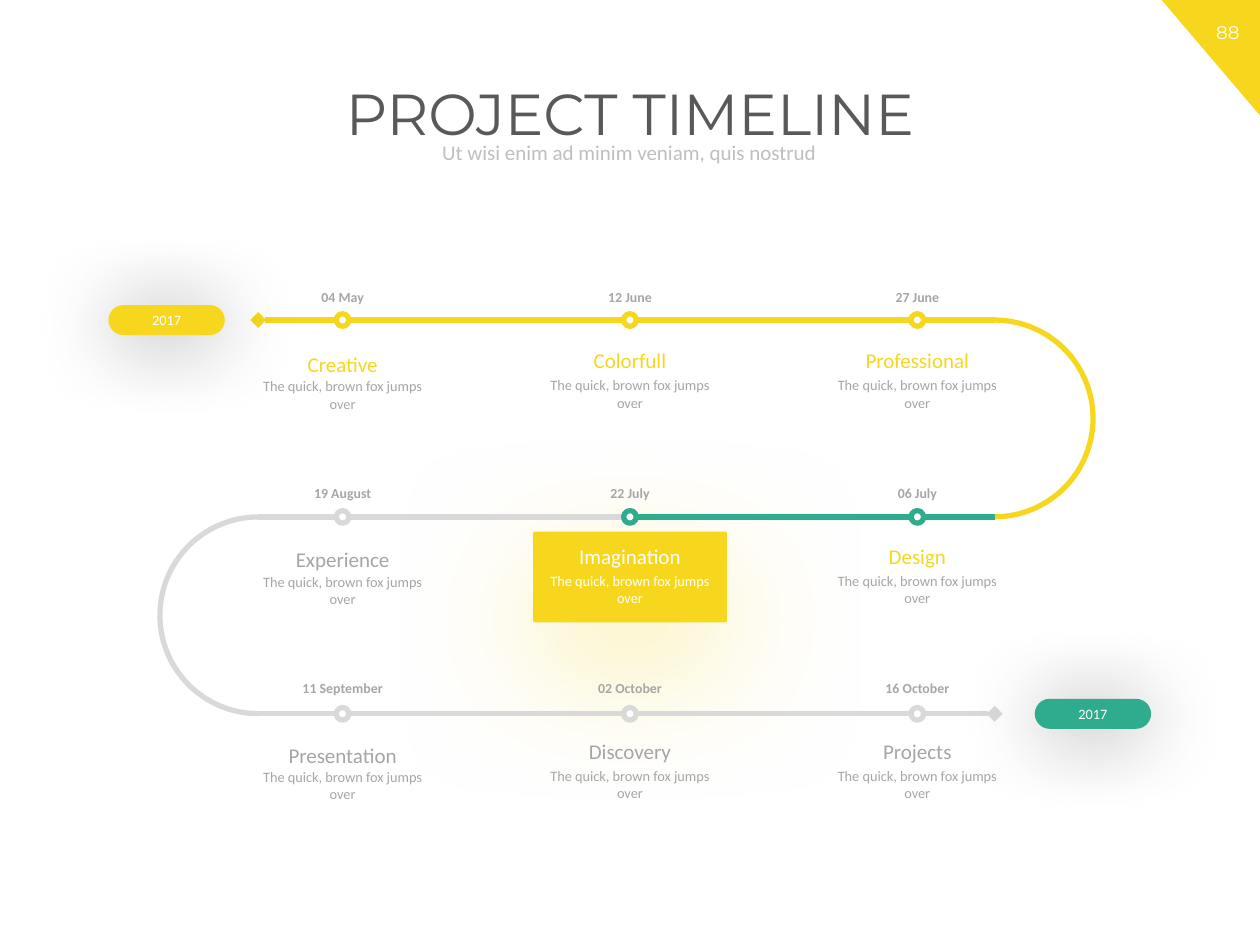
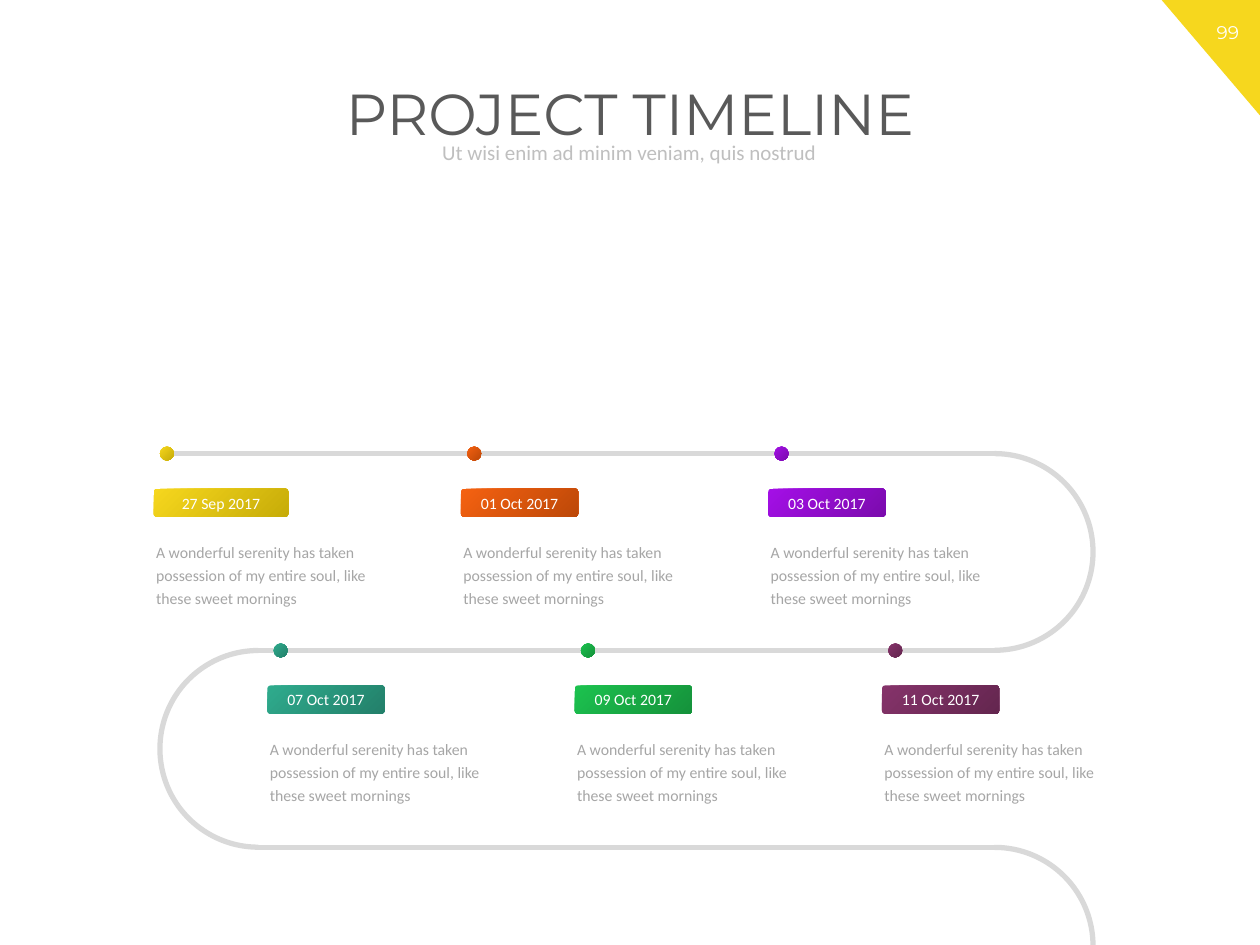
from lxml.etree import SubElement
from pptx import Presentation
from pptx.dml.color import RGBColor
from pptx.enum.shapes import MSO_CONNECTOR as Connector, MSO_SHAPE as Shape
from pptx.enum.text import MSO_ANCHOR as Anchor, PP_ALIGN as Align
from pptx.oxml.ns import qn
from pptx.util import Pt

YELLOW, GREEN, WHITE = "F6D71E", "2FAB8D", "FFFFFF"
TRACK, MUTED, DARK, PALE = "D9D9D9", "A6A6A6", "595959", "BFBFBF"
FADE = (YELLOW, GREEN)
BODY_FONT, TITLE_FONT = "Calibri", "Montserrat"

STROKE = 3
BEND = 112.4
ROW_STEP = 112.5
TRACK_LEFT, TRACK_RIGHT = 147.6, 568.4
RIGHT_BEND, LEFT_BEND, QUARTER_BEND = (162, 54), (54, 162), (162, 0)

MILESTONE_BLURB = "The quick, brown fox jumps over"
MILESTONES = [
    [("04 May", "Creative", YELLOW, FADE),
     ("12 June", "Colorfull", YELLOW, FADE),
     ("27 June", "Professional", YELLOW, FADE)],
    [("19 August", "Experience", TRACK, MUTED),
     ("22 July", "Imagination", GREEN, WHITE),
     ("06 July", "Design", GREEN, FADE)],
    [("11 September", "Presentation", TRACK, MUTED),
     ("02 October", "Discovery", TRACK, MUTED),
     ("16 October", "Projects", TRACK, MUTED)],
]

EVENT_BLURB = ("A wonderful serenity has taken possession of my entire soul, "
               "like these sweet mornings")
EVENTS = [
    [("27 Sep 2017", (YELLOW, "C7AC08"), 77),
     ("01 Oct 2017", ("F56211", "BD4808"), 67),
     ("03 Oct 2017", ("A40FE7", "7B0BAD"), 67)],
    [("07 Oct 2017", (GREEN, "23806A"), 67),
     ("09 Oct 2017", ("1CC24F", "15923B"), 67),
     ("11 Oct 2017", ("85336A", "64264F"), 67)],
]


def paint(fill, color, angle=0):
    """Fill with one hex colour, or with a gradient for a pair of them."""
    if isinstance(color, str):
        fill.solid()
        fill.fore_color.rgb = RGBColor.from_string(color)
        return
    fill.gradient()
    fill.gradient_angle = angle
    for stop, stop_color in zip(fill.gradient_stops, color):
        stop.color.rgb = RGBColor.from_string(stop_color)


def write(frame, text, size, color, font=BODY_FONT, bold=False,
          align=Align.CENTER, spacing=1.0):
    """Put one styled paragraph into a text frame."""
    frame.word_wrap = True
    paragraph = frame.paragraphs[0]
    paragraph.alignment = align
    paragraph.line_spacing = spacing
    run = paragraph.add_run()
    run.text = text
    run.font.name = font
    run.font.size = Pt(size)
    run.font.bold = bold
    paint(run.font.fill, color)


def add_text(slide, box, text, size, color, anchor=Anchor.TOP, **style):
    """Add a text box at (left, top, width, height)."""
    frame = slide.shapes.add_textbox(*map(Pt, box)).text_frame
    frame.vertical_anchor = anchor
    write(frame, text, size, color, **style)


def add_shape(slide, kind, box, fill=None, line=None, adjust=(), angle=0):
    """Add a flat preset shape with an optional fill and outline."""
    shape = slide.shapes.add_shape(kind, *map(Pt, box))
    shape.shadow.inherit = False
    for index, value in enumerate(adjust):
        shape.adjustments[index] = value
    if fill:
        paint(shape.fill, fill, angle)
    else:
        shape.fill.background()
    if line:
        paint(shape.line.fill, line)
        shape.line.width = Pt(STROKE)
    else:
        shape.line.fill.background()
    return shape


def add_glow(shape, color, opacity, blur, distance):
    """Cast a soft shadow downwards from a shape."""
    effects = shape._element.spPr.find(qn("a:effectLst"))
    shadow = SubElement(effects, qn("a:outerShdw"), blurRad=str(Pt(blur)),
                        dist=str(Pt(distance)), dir="5400000", algn="ctr",
                        rotWithShape="0")
    tint = SubElement(shadow, qn("a:srgbClr"), val=color)
    SubElement(tint, qn("a:alpha"), val=str(opacity * 1000))


def add_track(slide, left, right, y, color, diamond_end=None):
    """Draw a straight stretch of the timeline, with a diamond if asked."""
    connector = slide.shapes.add_connector(
        Connector.STRAIGHT, Pt(left), Pt(y), Pt(right), Pt(y))
    paint(connector.line.fill, color)
    connector.line.width = Pt(STROKE)
    if diamond_end:
        SubElement(connector.line._get_or_add_ln(), qn(diamond_end),
                   type="diamond")
    SubElement(connector._element.spPr, qn("a:effectLst"))


def add_bend(slide, center_x, top, color, angles):
    """Draw a curved stretch of the timeline."""
    add_shape(slide, Shape.ARC, (center_x - BEND / 2, top, BEND, BEND),
              line=color, adjust=angles)


def add_dot(slide, x, y, size, fill, line=None, angle=0):
    """Centre a round marker on a point."""
    box = (x - size / 2, y - size / 2, size, size)
    add_shape(slide, Shape.OVAL, box, fill, line, angle=angle)


def add_label(slide, box, text, size, fill, radius, angle=0):
    """Add a rounded label with centred white text."""
    label = add_shape(slide, Shape.ROUNDED_RECTANGLE, box, fill,
                      adjust=[radius], angle=angle)
    frame = label.text_frame
    frame.margin_left = frame.margin_right = 0
    frame.margin_top = frame.margin_bottom = 0
    frame.vertical_anchor = Anchor.MIDDLE
    write(frame, text, size, WHITE)
    return label


def add_year(slide, left, center_y, color):
    """Add a year pill with a dark glow."""
    pill = add_label(slide, (left, center_y - 8.6, 66.5, 17.2), "2017", 8.2,
                     color, 0.5)
    add_glow(pill, "000000", 40, 46, 3)


def add_milestone(slide, row, column, date, heading, ring, color):
    """Add a ring on the track with its date, heading and blurb."""
    center = 360 + (column - 1) * 164.2
    left, width = center - 53, 106
    top = 159.8 + row * 111.6
    heading_drop, blurb_drop = (34.8, 52.4) if column == 0 else (32.6, 51.8)
    blurb_color = WHITE if color == WHITE else MUTED
    add_dot(slide, center, 182.9 + row * ROW_STEP, 7.2, WHITE, ring)
    add_text(slide, (left, top, width, 18.7), date, 7.9, MUTED,
             bold=True, spacing=1.2)
    add_text(slide, (left, top + heading_drop, width, 24.5), heading, 12,
             color, spacing=1.2)
    add_text(slide, (left, top + blurb_drop, width, 27.4), MILESTONE_BLURB,
             8.2, blurb_color)


def add_event(slide, x, y, date, colors, tag_width):
    """Add a dot on the track with its date tag and blurb."""
    add_dot(slide, x, y, 8, colors, angle=315)
    add_text(slide, (x - 13.3, y + 45.4, 149, 46.8), EVENT_BLURB, 9, MUTED,
             align=Align.LEFT, spacing=1.2)
    add_label(slide, (x - 7.6, y + 20, tag_width, 16.2), date, 9, colors,
              0.12, angle=315)


def start_slide(presentation, number):
    """Add a slide with the numbered corner, title and subtitle."""
    slide = presentation.slides.add_slide(presentation.slide_layouts[6])
    corner = add_shape(slide, Shape.RIGHT_TRIANGLE, (663.8, 0, 56.2, 66),
                       YELLOW)
    corner.rotation = 180
    add_text(slide, (683.3, 8.6, 36.7, 20.2), number, 10.5, WHITE,
             font=TITLE_FONT)
    add_text(slide, (41, 45.4, 638, 52.6), "PROJECT TIMELINE", 33, DARK,
             font=TITLE_FONT, spacing=0.9)
    add_text(slide, (100, 76.8, 519.2, 22),
             "Ut wisi enim ad minim veniam, quis nostrud", 12, PALE,
             anchor=Anchor.MIDDLE, spacing=0.9)
    return slide


def build_milestones(presentation):
    """Build the slide with nine milestones on a winding track."""
    slide = start_slide(presentation, "88")
    first, second, third = (182.9 + row * ROW_STEP for row in range(3))
    highlight = add_shape(slide, Shape.ROUNDED_RECTANGLE,
                          (304.6, 303.8, 110.8, 51.8), YELLOW, adjust=[0.02])
    add_glow(highlight, "FAE778", 61, 79, 24)
    add_bend(slide, TRACK_RIGHT, first, YELLOW, RIGHT_BEND)
    add_track(slide, TRACK_LEFT, TRACK_RIGHT, second, TRACK)
    add_bend(slide, TRACK_LEFT, second, TRACK, LEFT_BEND)
    add_track(slide, TRACK_LEFT, TRACK_RIGHT, third, TRACK, "a:tailEnd")
    add_track(slide, TRACK_LEFT, TRACK_RIGHT, first, YELLOW, "a:headEnd")
    add_track(slide, 360, TRACK_RIGHT, second, GREEN)
    add_year(slide, 591.3, third, GREEN)
    add_year(slide, 62, first, YELLOW)
    for row, milestones in enumerate(MILESTONES):
        for column, milestone in enumerate(milestones):
            add_milestone(slide, row, column, *milestone)


def build_events(presentation):
    """Build the slide with six dated events on a winding track."""
    slide = start_slide(presentation, "99")
    first, second, third = (259.2 + row * ROW_STEP for row in range(3))
    add_track(slide, 95.5, TRACK_RIGHT, first, TRACK)
    add_bend(slide, TRACK_RIGHT, first, TRACK, RIGHT_BEND)
    add_track(slide, TRACK_LEFT, TRACK_RIGHT, second, TRACK)
    add_bend(slide, TRACK_LEFT, second, TRACK, LEFT_BEND)
    add_track(slide, TRACK_LEFT, TRACK_RIGHT, third, TRACK)
    add_bend(slide, TRACK_RIGHT, third, TRACK, QUARTER_BEND)
    for start, y, events in zip((95.4, 160.4), (first, second), EVENTS):
        for column, event in enumerate(events):
            add_event(slide, start + column * 175.6, y, *event)


def main():
    """Build and save the presentation."""
    presentation = Presentation()
    presentation.slide_width = Pt(720)
    presentation.slide_height = Pt(540)
    build_milestones(presentation)
    build_events(presentation)
    presentation.save("out.pptx")


if __name__ == "__main__":
    main()
